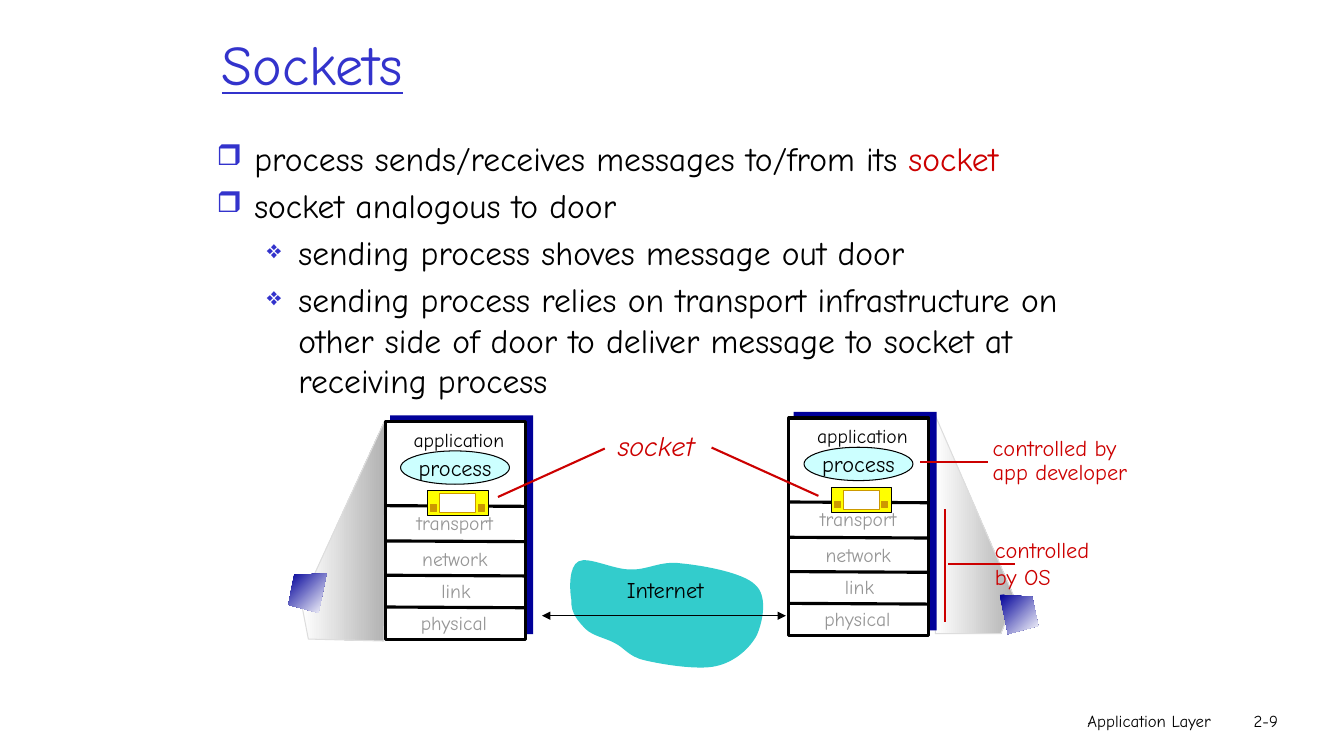
from dataclasses import dataclass

from lxml import etree
from pptx import Presentation
from pptx.dml.color import RGBColor
from pptx.enum.shapes import MSO_CONNECTOR, MSO_SHAPE
from pptx.enum.text import MSO_ANCHOR, PP_ALIGN
from pptx.oxml.ns import qn
from pptx.util import Pt

RECT, OVAL = MSO_SHAPE.RECTANGLE, MSO_SHAPE.OVAL
STRAIGHT = MSO_CONNECTOR.STRAIGHT
LEFT, CENTER, RIGHT = PP_ALIGN.LEFT, PP_ALIGN.CENTER, PP_ALIGN.RIGHT
MIDDLE, TOP = MSO_ANCHOR.MIDDLE, MSO_ANCHOR.TOP


@dataclass(frozen=True)
class Theme:
    face: str = "Comic Neue"
    signs: str = "OpenSymbol"
    title: int = 40
    body: int = 24
    call: int = 20
    label: int = 16
    layer: int = 14
    foot: int = 12
    black: str = "000000"
    white: str = "FFFFFF"
    blue: str = "3333CC"
    navy: str = "000099"
    red: str = "CC0000"
    gray: str = "969696"
    shade: str = "B2B2B2"
    edge: str = "DDDDDD"
    teal: str = "33CCCC"
    cyan: str = "CCFFFF"
    yellow: str = "FFFF00"
    gold: str = "CC9900"


T = Theme()

# Body: level and runs, where a run is its text and colour
POINTS = [
    (0, [("process sends/receives messages to/from its ", T.black), ("socket", T.red)]),
    (0, [("socket analogous to door", T.black)]),
    (1, [("sending process shoves message out door", T.black)]),
    (1, [("sending process relies on transport infrastructure on other side "
          "of door to deliver message to socket at receiving process", T.black)]),
]
# Left margin, indent, bullet sign and bullet size for each level
LEVELS = [(27, -27, "❒", 85), (58.5, -22.5, "❖", 75)]

# Host stack: label, left and top from the corner of the stack
LAYERS = [
    ("application", 0.7, -0.8, T.black),
    ("transport", -2.2, 58.3, T.gray),
    ("network", -2.2, 84.2, T.gray),
    ("link", -1.4, 107.2, T.gray),
    ("physical", -2.9, 129.6, T.gray),
]
RULES = [60, 85.2, 109.7, 132.4]
HOSTS = [(275.3, 301.2), (563.5, 298.6)]

# Cloud: frame, start, then curves of two controls and an end
FRAME = (406.1, 397.4, 142.6, 81.4)
CLOUD = [
    [(408.2, 429.1)],
    [(406.8, 421.2), (406.1, 404.6), (413.3, 401)],
    [(420.5, 397.4), (437.8, 406.8), (450, 406.8)],
    [(462.2, 407.5), (471.6, 400.3), (486.7, 402.5)],
    [(501.8, 403.9), (530.6, 409), (539.3, 417.6)],
    [(548.6, 425.5), (545, 443.5), (540.7, 453.6)],
    [(535.7, 463), (524.9, 473), (511.2, 475.9)],
    [(498.2, 478.8), (472.3, 474.5), (460.1, 471.6)],
    [(448.6, 468.7), (446.4, 463), (439.2, 459.4)],
    [(432.7, 455.8), (423.4, 454.3), (418.3, 449.3)],
    [(413.3, 444.2), (407.5, 437.8), (408.2, 429.1)],
]


def color(code):
    return RGBColor.from_string(code)


def paint(shape, fill, line=None, width=0.75):
    shape.shadow.inherit = False
    shape.fill.solid()
    shape.fill.fore_color.rgb = color(fill)
    stroke(shape, line, width)


def stroke(shape, line, width=0.75):
    if line:
        shape.line.color.rgb = color(line)
        shape.line.width = Pt(width)
    else:
        shape.line.fill.background()


def blend(shape, first, last, angle, line=None):
    shape.shadow.inherit = False
    shape.fill.gradient()
    shape.fill.gradient_angle = angle
    for stop, code, place in zip(shape.fill.gradient_stops, (first, last), (0, 1)):
        stop.color.rgb = color(code)
        stop.position = place
    stroke(shape, line)


def style(para, size, ink, align=LEFT, space=None, italic=None, under=None):
    para.alignment = align
    if space:
        para.line_spacing = space
    font = para.font
    font.name, font.size = T.face, Pt(size)
    font.italic, font.underline = italic, under
    font.color.rgb = color(ink)


def text(slide, words, box, size, ink, anchor=TOP, **look):
    frame = slide.shapes.add_textbox(*map(Pt, box)).text_frame
    frame.word_wrap = True
    frame.vertical_anchor = anchor
    frame.text = words
    for para in frame.paragraphs:
        style(para, size, ink, **look)


def block(shapes, kind, box, fill, line=None, width=0.75):
    shape = shapes.add_shape(kind, *map(Pt, box))
    paint(shape, fill, line, width)
    return shape


def link(slide, start, end, ink, width, arrows=False):
    line = slide.shapes.add_connector(STRAIGHT, *map(Pt, start + end))
    stroke(line, ink, width)
    if arrows:
        for tip in ("a:headEnd", "a:tailEnd"):
            etree.SubElement(line.line._get_or_add_ln(), qn(tip), type="triangle")
    etree.SubElement(line._element.spPr, qn("a:effectLst"))


def outline(slide, dots):
    start, *rest = [(Pt(x), Pt(y)) for x, y in dots]
    form = slide.shapes.build_freeform(*start)
    form.add_line_segments(rest)
    return form.convert_to_shape()


def curve(slide, box, pieces):
    x, y, w, h = box
    form = outline(slide, [(x, y), (x + w, y), (x + w, y + h), (x, y + h)])
    route = form._element.spPr.find(".//" + qn("a:path"))
    for step in list(route):
        route.remove(step)
    for dots in pieces:
        step = etree.SubElement(route, qn("a:cubicBezTo" if len(dots) > 1 else "a:moveTo"))
        for px, py in dots:
            etree.SubElement(step, qn("a:pt"), x=str(Pt(px - x)), y=str(Pt(py - y)))
    etree.SubElement(route, qn("a:close"))
    return form


def bullets(slide, box):
    frame = slide.shapes.add_textbox(*map(Pt, box)).text_frame
    frame.word_wrap = True
    for index, (level, runs) in enumerate(POINTS):
        para = frame.add_paragraph() if index else frame.paragraphs[0]
        margin, indent, sign, scale = LEVELS[level]
        para.level = level
        props = para._p.get_or_add_pPr()
        props.set("marL", str(Pt(margin)))
        props.set("indent", str(Pt(indent)))
        tint = etree.SubElement(props, qn("a:buClr"))
        etree.SubElement(tint, qn("a:srgbClr"), val=T.blue)
        etree.SubElement(props, qn("a:buSzPct"), val=str(scale * 1000))
        etree.SubElement(props, qn("a:buFont"), typeface=T.signs)
        etree.SubElement(props, qn("a:buChar"), char=sign)
        if index:
            para.space_before = Pt(4.8)
        style(para, T.body, T.black)
        for words, ink in runs:
            run = para.add_run()
            run.text = words
            run.font.color.rgb = color(ink)


def door(slide, x, y):
    parts = slide.shapes.add_group_shape().shapes
    block(parts, RECT, (x, y, 43.2, 18), T.yellow, T.black)
    block(parts, RECT, (x + 8.6, y + 2.2, 25.9, 13.7), T.white, T.gold)
    for knob in (36, 2.2):
        block(parts, RECT, (x + knob, y + 10, 4.3, 5), T.gold, T.gold)


def host(slide, x, y):
    block(slide.shapes, RECT, (x + 3.4, y - 4.4, 102.2, 156.2), T.navy)
    block(slide.shapes, RECT, (x, y, 100, 155.5), T.white, T.black, 2.25)
    for rule in RULES:
        link(slide, (x + 0.9, y + rule), (x + 100.3, y + rule + 0.5), T.black, 2.25)
    for name, left, top, ink in LAYERS:
        text(slide, name, (x + left, y + top, 103.7, 24.5), T.layer, ink,
             align=CENTER, space=1.1)
    oval = block(slide.shapes, OVAL, (x + 10.8, y + 20.9, 77.8, 23.8), T.cyan, T.black)
    frame = oval.text_frame
    frame.word_wrap = False
    frame.vertical_anchor = MIDDLE
    frame.text = "process"
    style(frame.paragraphs[0], T.label, T.black, CENTER)
    door(slide, x + 30.2, y + 49.3)


def main():
    deck = Presentation()
    deck.slide_width, deck.slide_height = Pt(960), Pt(540)
    slide = deck.slides.add_slide(deck.slide_layouts[6])

    # Footer, title and body
    text(slide, "Application Layer", (568, 504, 304, 36), T.foot, T.black, align=RIGHT)
    text(slide, "2-9", (872, 504, 48, 36), T.foot, T.black, align=RIGHT)
    text(slide, "Sockets", (151.5, 10.1, 635.8, 70.6), T.title, T.blue, MIDDLE, under=True)
    bullets(slide, (147.6, 95.2, 648, 183.6))

    # Shaded fan behind the right host
    fan = outline(slide, [(725, 427.7), (667.4, 295.2), (668.2, 452.6), (715, 452.6), (725, 427.7)])
    blend(fan, T.white, T.shade, 0, T.edge)

    # Network between the hosts
    paint(curve(slide, FRAME, CLOUD), T.teal)
    text(slide, "Internet", (434.9, 407.8, 80.6, 26.6), T.label, T.black, align=CENTER)
    link(slide, (387.2, 439.8), (561.4, 439.8), T.black, 0.75, arrows=True)

    # Notes on control
    text(slide, "controlled\nby OS", (703.6, 379.4, 90.7, 65.5), T.label, T.red)
    text(slide, "controlled by\napp developer", (702, 308.5, 118, 42.5), T.label, T.red, space=0.9)

    # Shaded fan behind the left host
    fan = outline(slide, [(215.3, 430.6), (275, 300.2), (274.3, 457.9), (220.3, 456.5), (215.3, 430.6)])
    blend(fan, T.white, T.shade, 0, T.edge)

    # Hosts
    for spot in HOSTS:
        host(slide, *spot)

    # Socket note and red lines
    text(slide, "socket", (434.2, 305.3, 77, 28.8), T.call, T.red, space=0.9, italic=True)
    for start, end in (((705.6, 330.2), (657.4, 330.2)),
                       ((675.1, 363.6), (675.1, 444.2)),
                       ((725, 402.9), (677.5, 402.9)),
                       ((355.7, 355), (432, 320.4)),
                       ((584.6, 354.2), (508.3, 319.7))):
        link(slide, start, end, T.red, 1.5)

    # Small end systems
    for tile in ([(233.3, 409.7), (210.2, 410.4), (205.9, 432), (227.5, 437.8), (233.3, 409.7)],
                 [(714.2, 424.8), (737.3, 426.2), (741.6, 447.1), (720, 452.9), (714.2, 424.8)]):
        blend(outline(slide, tile), T.navy, T.white, 315)

    deck.save("out.pptx")


if __name__ == "__main__":
    main()
